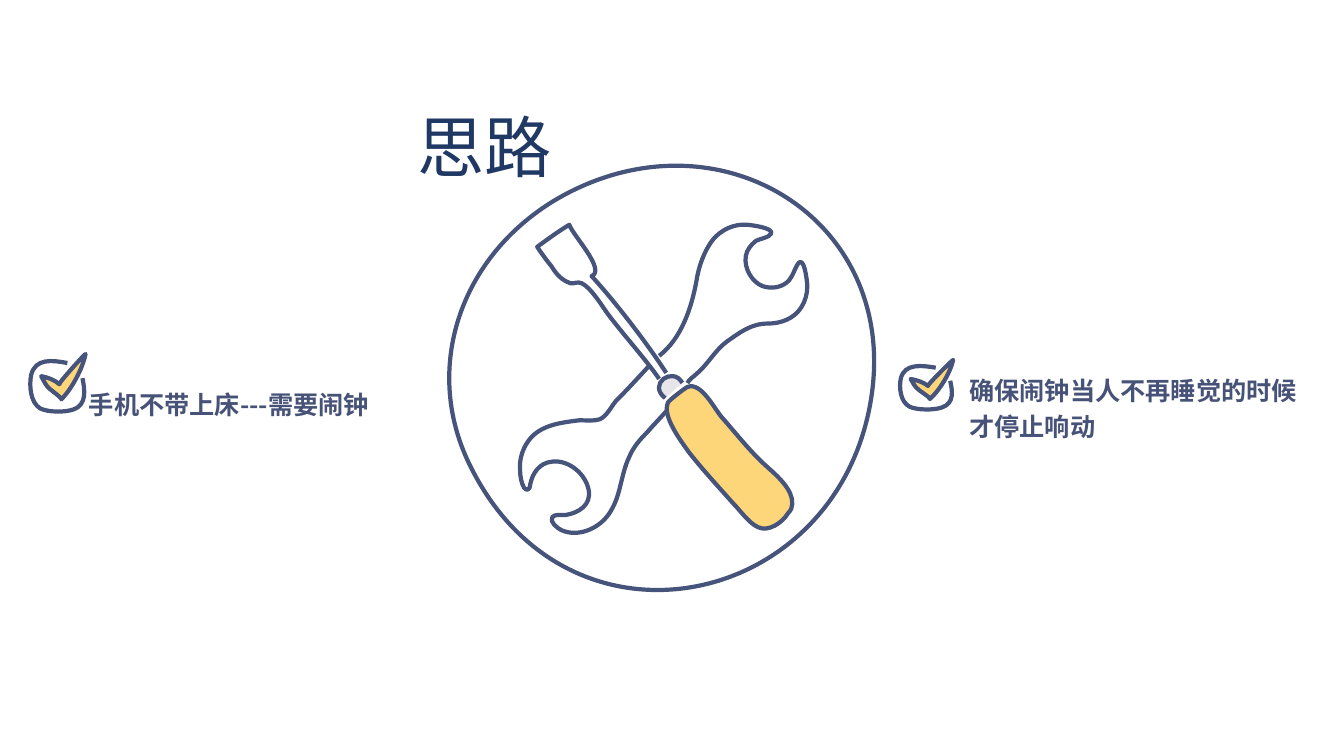
from pptx import Presentation
from pptx.dml.color import RGBColor
from pptx.enum.text import MSO_ANCHOR as Anchor, MSO_AUTO_SIZE as Fit
from pptx.oxml.ns import qn
from pptx.util import Cm, Pt
from lxml.etree import SubElement

NAVY = RGBColor(0x46, 0x53, 0x7A)
SLATE = RGBColor(0x47, 0x52, 0x78)
DEEP = RGBColor(0x20, 0x38, 0x64)
GOLD = RGBColor(0xFD, 0xD6, 0x7A)
GREY = RGBColor(0xE7, 0xE4, 0xEA)
FACE = "Noto Sans CJK JP"
UNIT = Cm(0.0254)  # outlines are given in hundredths of an inch
STEPS = 12  # samples per curve, to find its bounds

# Outlines: a start point, then three points for each Bezier curve
RING = [(865, 391), (890, 214), (708, 105), (550, 199), (456, 256), (420, 365),
        (465, 459), (563, 664), (835, 604), (865, 391)]
COLLAR = [(660, 395), (642, 381), (668, 363), (677, 380)]
SHAFT = [(654, 376), (642, 358), (615, 328), (602, 310), (597, 303), (586, 285),
         (577, 281), (573, 279), (569, 282), (566, 281), (557, 278), (552, 272),
         (547, 264), (541, 257), (533, 245), (533, 245), (533, 245), (553, 230),
         (565, 223), (567, 232), (602, 268), (587, 274), (611, 300), (643, 342),
         (661, 370)]
LOW_JAW = [(661, 408), (655, 415), (648, 422), (642, 429), (635, 436), (628, 444),
           (624, 454), (616, 471), (616, 491), (606, 507), (597, 523), (575, 534),
           (557, 526), (553, 524), (545, 518), (548, 513), (550, 510), (558, 511),
           (561, 511), (574, 509), (587, 501), (584, 486), (581, 470), (564, 456),
           (548, 458), (535, 459), (528, 470), (526, 481), (526, 485), (523, 488),
           (520, 484), (517, 479), (516, 472), (516, 466), (515, 455), (519, 443),
           (527, 434), (539, 421), (559, 419), (575, 417), (582, 417), (589, 418),
           (595, 416), (602, 413), (606, 404), (611, 398), (622, 387), (633, 375),
           (644, 363)]
TOP_JAW = [(682, 380), (684, 376), (688, 374), (691, 371), (702, 362), (709, 348),
           (721, 339), (734, 330), (745, 321), (762, 321), (775, 321), (788, 316),
           (795, 305), (799, 299), (801, 291), (801, 284), (801, 281), (798, 250),
           (791, 263), (788, 268), (787, 273), (783, 278), (777, 285), (766, 287),
           (757, 284), (746, 280), (738, 266), (740, 254), (741, 248), (745, 243),
           (750, 239), (753, 237), (763, 236), (765, 232), (769, 226), (743, 223),
           (741, 223), (728, 222), (716, 228), (708, 237), (699, 248), (693, 265),
           (691, 279), (686, 306), (676, 336), (654, 353)]
GRIP = [(782, 509), (785, 506), (786, 503), (786, 500), (787, 486), (771, 472),
        (762, 464), (745, 449), (732, 432), (717, 415), (710, 408), (696, 378),
        (682, 384), (681, 384), (664, 397), (663, 399), (656, 412), (676, 438),
        (683, 448), (697, 466), (712, 482), (727, 499), (734, 506), (743, 519),
        (752, 523), (762, 528), (776, 519), (782, 509)]
BOX = [(37, 9), (22, 6), (5, 4), (1, 21), (-1, 31), (0, 48), (10, 54),
       (18, 58), (35, 58), (43, 55), (57, 50), (54, 35), (52, 24)]
TICK = [(55, 0), (55, -1), (28, 29), (29, 30), (25, 26), (17, 23), (11, 22),
        (14, 27), (15, 31), (20, 35), (21, 36), (32, 44), (31, 45),
        (41, 35), (52, 15), (55, 0)]


def draw(group, curve, fill=None, left=0, top=0, wide=1, high=1):
    """Draw a chain of Bezier curves as one freeform."""
    dots = [(left + x * UNIT * wide, top + y * UNIT * high) for x, y in curve]
    line = []
    for i in range(0, len(dots) - 1, 3):
        for step in range(1, STEPS + 1):
            t = step / STEPS
            u = 1 - t
            parts = (u ** 3, 3 * u * u * t, 3 * u * t * t, t ** 3)
            line.append([sum(k * dot[axis] for k, dot in zip(parts, dots[i:i + 4]))
                         for axis in (0, 1)])
    pen = group.shapes.build_freeform(*dots[0])
    pen.add_line_segments(line, close=curve[0] == curve[-1])
    shape = pen.convert_to_shape()

    # Put true curves in place of the samples
    route = next(shape._element.iter(qn("a:path")))
    for piece in route.findall(qn("a:lnTo")) + route.findall(qn("a:close")):
        route.remove(piece)
    for i in range(1, len(dots), 3):
        bend = SubElement(route, qn("a:cubicBezTo"))
        for x, y in dots[i:i + 3]:
            SubElement(bend, qn("a:pt"), x=str(round(x - shape.left)),
                       y=str(round(y - shape.top)))
    if curve[0] == curve[-1]:
        SubElement(route, qn("a:close"))

    shape.shadow.inherit = False
    shape.line.color.rgb = NAVY
    shape.line.width = Pt(3)
    if fill is None:
        shape.fill.background()
    else:
        shape.fill.solid()
        shape.fill.fore_color.rgb = fill


def write(words, left, top, width, height, size, color):
    """Add a text box with one paragraph and return its frame."""
    box = slide.shapes.add_textbox(Cm(left), Cm(top), Cm(width), Cm(height))
    frame = box.text_frame
    frame.auto_size = Fit.SHAPE_TO_FIT_TEXT
    para = frame.paragraphs[0]
    para.text = words
    para.font.name = FACE
    para.font.size = Pt(size)
    para.font.color.rgb = color
    props = next(para._p.iter(qn("a:defRPr")))
    SubElement(props, qn("a:ea")).set("typeface", FACE)
    return frame


deck = Presentation()
deck.slide_width, deck.slide_height = Cm(33.87), Cm(19.05)
slide = deck.slides.add_slide(deck.slide_layouts[6])

# Ring with screwdriver and wrench
tools = slide.shapes.add_group_shape()
for curve, fill in ((RING, None), (COLLAR, GREY), (SHAFT, None),
                    (LOW_JAW, None), (TOP_JAW, None), (GRIP, GOLD)):
    draw(tools, curve, fill)

# Two points: words, left, top, height, left inset
for words, left, top, height, inset in (
        ("手机不带上床---需要闹钟", 1.68, 9.55, 1.14, 0.56),
        ("确保闹钟当人不再睡觉的时候才停止响动", 24.33, 9.19, 2.06, 0.1)):
    frame = write(words, left, top, 8.59, height, 18, SLATE)
    frame.word_wrap = True
    frame.vertical_anchor = Anchor.MIDDLE
    frame.margin_left = Cm(inset)
    frame.margin_right = frame.margin_top = frame.margin_bottom = Cm(0.1)
    frame.paragraphs[0].line_spacing = 1.2
    frame.paragraphs[0].font.bold = True

# Title
title = write("思路", 10.26, 2.53, 3.94, 2.31, 48, DEEP)
title.word_wrap = False

# Check marks: left, top, width and height factors
for left, top, wide, high in ((0.76, 8.92, 1, 1), (22.68, 9.07, 0.96, 0.86)):
    mark = slide.shapes.add_group_shape()
    for curve, fill in ((BOX, None), (TICK, GOLD)):
        draw(mark, curve, fill, Cm(left), Cm(top), wide, high)

deck.save("out.pptx")
